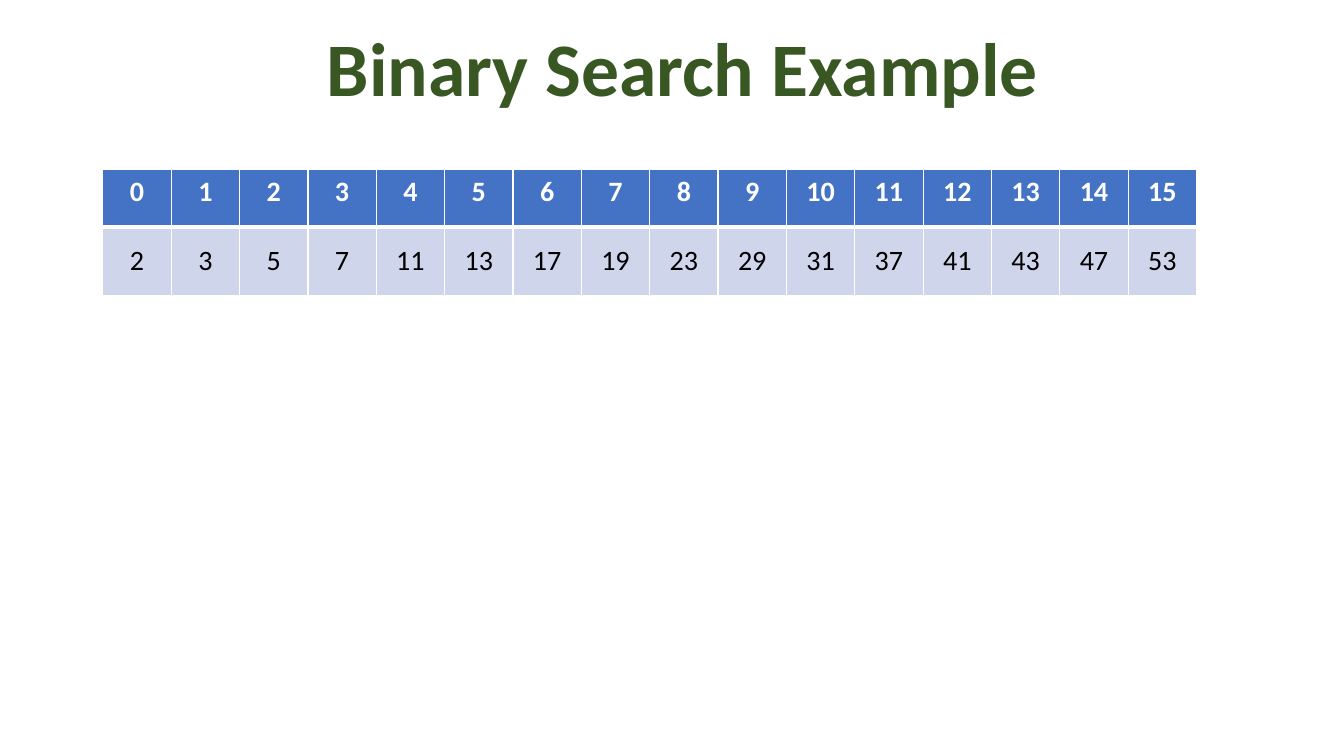
from lxml.etree import SubElement
from pptx import Presentation
from pptx.dml.color import RGBColor
from pptx.enum.text import MSO_ANCHOR, PP_ALIGN
from pptx.oxml.ns import qn
from pptx.util import Inches, Pt

TITLE_ONLY_LAYOUT = 5
PRIMES = [2, 3, 5, 7, 11, 13, 17, 19, 23, 29, 31, 37, 41, 43, 47, 53]


def color(hex_string):
    return RGBColor.from_string(hex_string)


class SlideBuilder:
    font_name = "Calibri"
    title_color = "385723"
    header_fill = "4472C4"
    value_fill = "CFD5EA"
    border_color = "FFFFFF"

    def __init__(self, slide):
        self.slide = slide

    def add_run(self, paragraph, text, size, hex_string, bold):
        paragraph.alignment = PP_ALIGN.CENTER
        run = paragraph.add_run()
        run.text = text
        run.font.name = self.font_name
        run.font.size = Pt(size)
        run.font.bold = bold
        run.font.color.rgb = color(hex_string)

    def add_title(self, text, left, top, width, height):
        title = self.slide.shapes.title
        title.left, title.top = Inches(left), Inches(top)
        title.width, title.height = Inches(width), Inches(height)
        title.text_frame.vertical_anchor = MSO_ANCHOR.MIDDLE
        paragraph = title.text_frame.paragraphs[0]
        paragraph.line_spacing = 0.9
        self.add_run(paragraph, text, 54, self.title_color, True)

    def add_borders(self, cell, top, bottom):
        """Draw the four cell borders; top and bottom are widths in points."""
        properties = cell._tc.get_or_add_tcPr()
        for side, width in (("L", 1), ("R", 1), ("T", top), ("B", bottom)):
            line = SubElement(properties, qn(f"a:ln{side}"), w=str(Pt(width)))
            fill = SubElement(line, qn("a:solidFill"))
            SubElement(fill, qn("a:srgbClr"), val=self.border_color)

    def fill_cell(self, cell, text, is_header):
        self.add_borders(cell, 1 if is_header else 3, 3 if is_header else 1)
        cell.fill.solid()
        cell.fill.fore_color.rgb = color(self.header_fill if is_header else self.value_fill)
        cell.vertical_anchor = MSO_ANCHOR.TOP if is_header else MSO_ANCHOR.MIDDLE
        text_color = "FFFFFF" if is_header else "000000"
        self.add_run(cell.text_frame.paragraphs[0], text, 20, text_color, is_header)

    def add_array_table(self, values, left, top, width, row_heights):
        """Show each value below its index."""
        frame = self.slide.shapes.add_table(
            2, len(values), Inches(left), Inches(top), Inches(width), Inches(sum(row_heights))
        )
        table = frame.table
        for row, height in zip(table.rows, row_heights):
            row.height = Inches(height)
        for index, value in enumerate(values):
            table.columns[index].width = Inches(width / len(values))
            self.fill_cell(table.cell(0, index), str(index), True)
            self.fill_cell(table.cell(1, index), str(value), False)


def main():
    presentation = Presentation()
    presentation.slide_width = Inches(13.33)
    presentation.slide_height = Inches(7.5)
    slide = presentation.slides.add_slide(presentation.slide_layouts[TITLE_ONLY_LAYOUT])
    builder = SlideBuilder(slide)
    builder.add_title("Binary Search Example", 1.02, 0.18, 11.5, 1.06)
    builder.add_array_table(PRIMES, 1.02, 1.68, 10.85, (0.57, 0.68))
    presentation.save("out.pptx")


if __name__ == "__main__":
    main()
